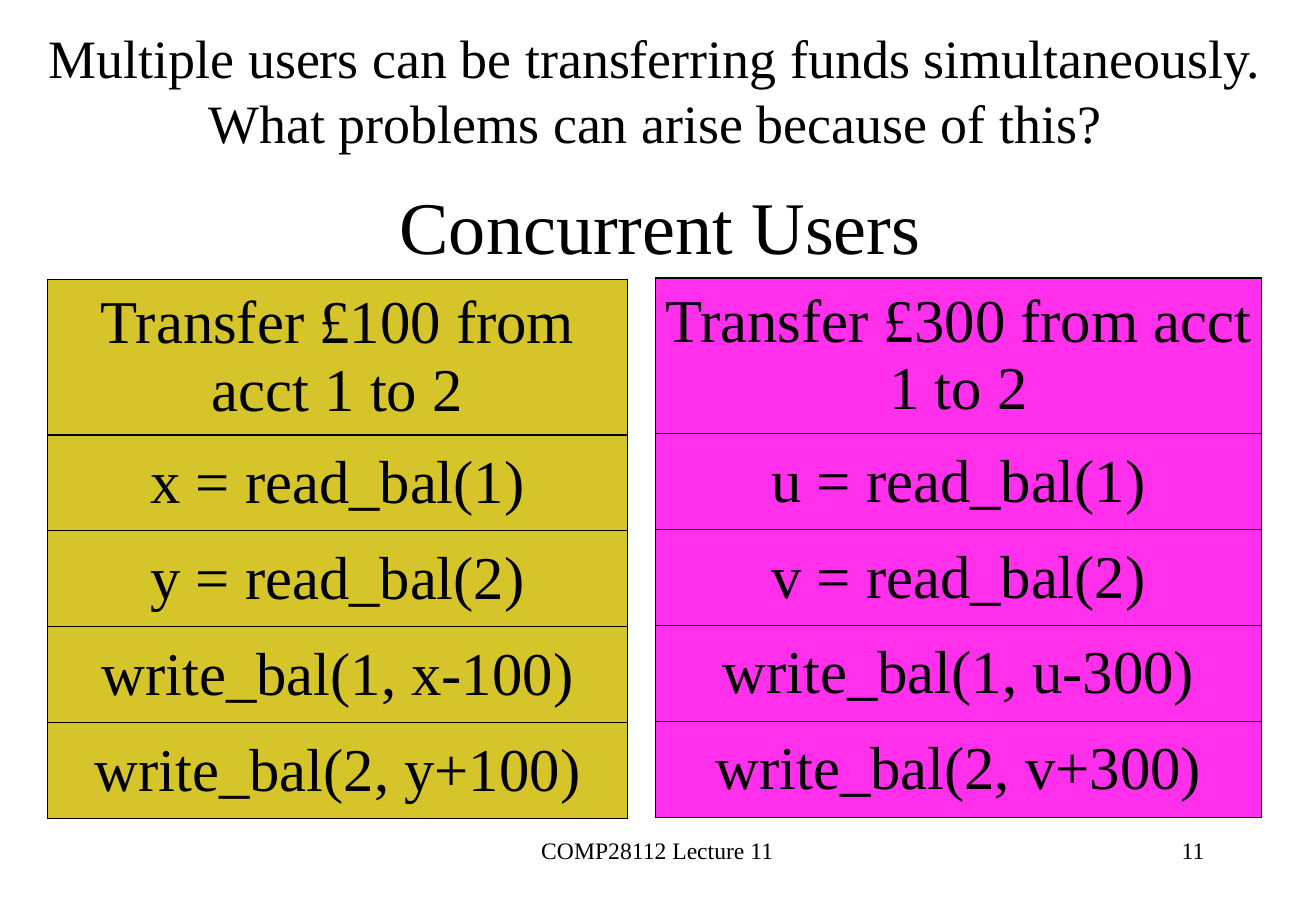
from lxml import etree
from pptx import Presentation
from pptx.dml.color import RGBColor
from pptx.enum.text import MSO_ANCHOR, PP_ALIGN
from pptx.oxml.ns import qn
from pptx.util import Inches, Pt

BLACK = RGBColor(0x00, 0x00, 0x00)
GOLD = RGBColor(0xD5, 0xC5, 0x2B)
PINK = RGBColor(0xFF, 0x2F, 0xEB)
MID, TOP = MSO_ANCHOR.MIDDLE, MSO_ANCHOR.TOP
CENTER, RIGHT = PP_ALIGN.CENTER, PP_ALIGN.RIGHT

TITLE = ("Concurrent Users", (0.85, 1.31, 9.21, 1.09), 44, CENTER, MID)
NOTES = [
    ("Multiple users can be transferring funds simultaneously. "
     "What problems can arise because of this?",
     (0, 0, 10.83, 1.47), 32, CENTER, MID),
    ("COMP28112 Lecture 11", (3.7, 6.83, 3.43, 0.5), 14, CENTER, TOP),
    ("11", (7.76, 6.83, 2.26, 0.5), 14, RIGHT, TOP),
]
USERS = [
    (0.39, 2.3, 4.78, GOLD, [
        "Transfer £100 from acct 1 to 2", "x = read_bal(1)",
        "y = read_bal(2)", "write_bal(1, x-100)", "write_bal(2, y+100)"]),
    (5.4, 2.29, 4.99, PINK, [
        "Transfer £300 from acct 1 to 2", "u = read_bal(1)",
        "v = read_bal(2)", "write_bal(1, u-300)", "write_bal(2, v+300)"]),
]
HEAD, STEP = 1.28, 0.79
INSETS = {MID: (0.14, 0, 0.17, 0), TOP: (0.1, 0.05, 0.1, 0.05)}
CELL = (0.04, 0.05, 0.04, 0.05)
SIDES = ("margin_left", "margin_top", "margin_right", "margin_bottom")


def pad(item, sizes):
    """Set the four inner margins of a text frame or cell."""
    for side, size in zip(SIDES, sizes):
        setattr(item, side, Inches(size))


def write(frame, text, size, align):
    """Write one styled paragraph."""
    para = frame.paragraphs[0]
    para.alignment = align
    run = para.add_run()
    run.text = text
    looks = {"name": "Times New Roman", "size": Pt(size), "bold": False}
    for key, value in looks.items():
        setattr(run.font, key, value)
    run.font.color.rgb = BLACK


def fill_box(box, text, place, size, align, anchor):
    """Place a text shape and write its text."""
    box.left, box.top, box.width, box.height = map(Inches, place)
    frame = box.text_frame
    frame.word_wrap = True
    frame.vertical_anchor = anchor
    pad(frame, INSETS[anchor])
    write(frame, text, size, align)


def edge(cell):
    """Draw thin black borders round a cell."""
    props = cell._tc.get_or_add_tcPr()
    for spot, tag in enumerate(("a:lnL", "a:lnR", "a:lnT", "a:lnB")):
        line = etree.Element(qn(tag), w=str(Pt(0.96)))
        solid = etree.SubElement(line, qn("a:solidFill"))
        etree.SubElement(solid, qn("a:srgbClr"), val=str(BLACK))
        props.insert(spot, line)


def add_user(slide, left, top, width, color, steps):
    """Add the table of one user's steps."""
    highs = [HEAD] + [STEP] * (len(steps) - 1)
    place = map(Inches, (left, top, width, sum(highs)))
    table = slide.shapes.add_table(len(steps), 1, *place).table
    table.first_row = table.horz_banding = False
    for row, high, step in zip(table.rows, highs, steps):
        row.height = Inches(high)
        cell = row.cells[0]
        cell.fill.solid()
        cell.fill.fore_color.rgb = color
        cell.vertical_anchor = MID
        pad(cell, CELL)
        write(cell.text_frame, step, 36, CENTER)
        edge(cell)


def main():
    """Build the slide and save it."""
    deck = Presentation()
    deck.slide_width, deck.slide_height = Inches(10.84), Inches(7.5)
    slide = deck.slides.add_slide(deck.slide_layouts[5])
    fill_box(slide.shapes.title, *TITLE)
    for user in USERS:
        add_user(slide, *user)
    for note in NOTES:
        fill_box(slide.shapes.add_textbox(0, 0, 0, 0), *note)
    deck.save("out.pptx")


if __name__ == "__main__":
    main()
